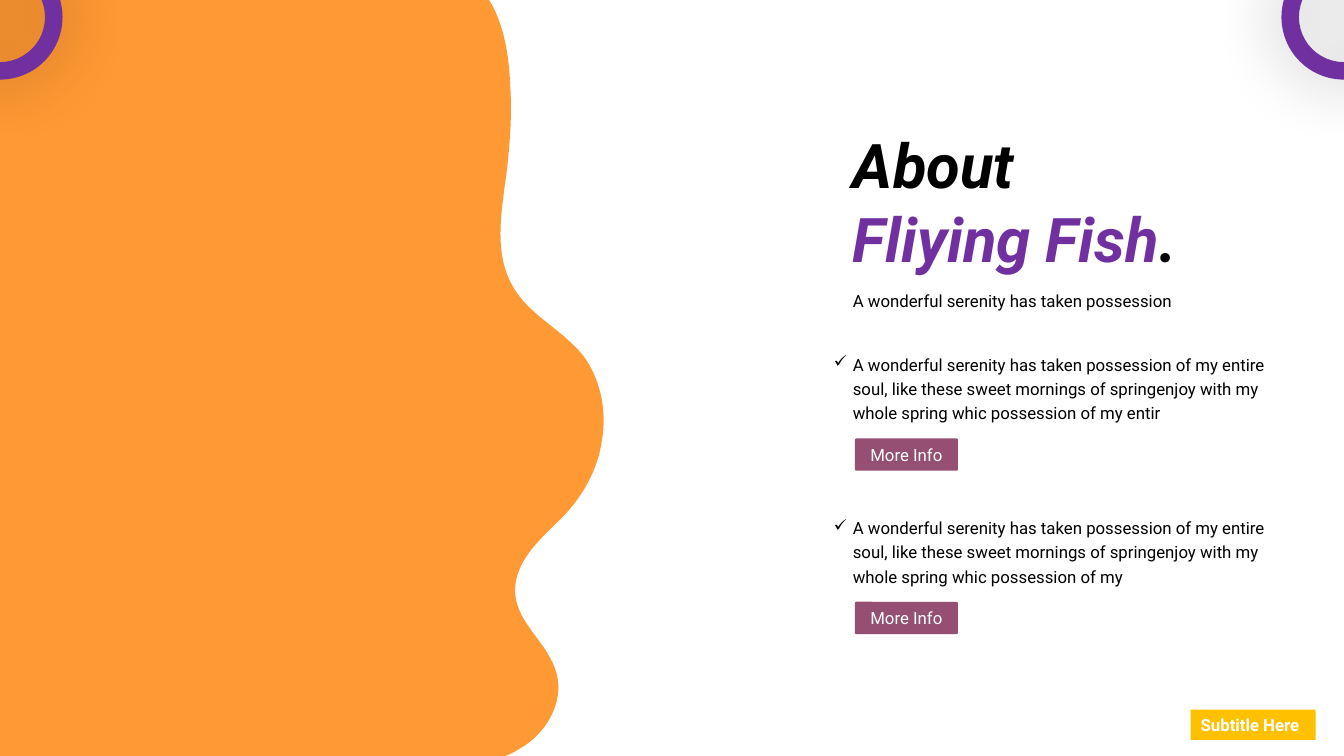
from pptx import Presentation
from pptx.dml.color import RGBColor
from pptx.enum.shapes import MSO_SHAPE as SHAPE
from pptx.enum.text import MSO_ANCHOR as ANCHOR, PP_ALIGN as ALIGN
from pptx.oxml import parse_xml
from pptx.oxml.ns import nsdecls
from pptx.util import Inches, Pt

# Content
TITLE = [[("About", "text")], [("Fliying Fish", "accent"), (".", "text")]]
LEAD = "A wonderful serenity has taken possession"
SENTENCE = ("A wonderful serenity has taken possession of my entire soul, like these "
            "sweet mornings of springenjoy with my whole spring whic possession of my")
ITEMS = [SENTENCE + " entir", SENTENCE]
BUTTON = "More Info"
TAG = "Subtitle Here"

# Wavy panel edge from bottom to top: control, control, end of each curve
EDGE_START = (5.06, 7.48)
EDGE_CURVES = [
    ((5.09, 7.47), (5.12, 7.45), (5.15, 7.43)),
    ((5.41, 7.29), (5.6, 6.97), (5.52, 6.68)),
    ((5.44, 6.38), (5.13, 6.19), (5.11, 5.89)),
    ((5.09, 5.57), (5.37, 5.34), (5.59, 5.12)),
    ((5.78, 4.92), (5.93, 4.66), (5.97, 4.37)),
    ((6.02, 4.08), (5.96, 3.78), (5.8, 3.55)),
    ((5.59, 3.27), (5.24, 3.13), (5.08, 2.83)),
    ((4.89, 2.49), (4.98, 2.07), (5.03, 1.67)),
    ((5.06, 1.4), (5.08, 1.11), (5.06, 0.84)),
    ((5.05, 0.56), (5, 0.26), (4.87, 0.03)),
]

THEME = {
    "font": "Roboto", "title": 44, "body": 12,
    "text": "000000", "light": "FFFFFF", "accent": "7030A0",
    "panel": "FF9933", "button": "954F72", "tag": "FFC000",
}

# Layout
SLIDE_W, SLIDE_H = 13.33, 7.5
TEXT_X = 8.36
ITEM_X, ITEM_Y, ITEM_STEP = 8.17, 3.43, 1.62
BUTTON_X, BUTTON_DROP = 8.48, 0.92
RING, RING_Y = 1.24, -0.45

prs = Presentation()
prs.slide_width, prs.slide_height = Inches(SLIDE_W), Inches(SLIDE_H)
slide = prs.slides.add_slide(prs.slide_layouts[6])


def color(name):
    return RGBColor.from_string(THEME[name])


def paint(sp, fill):
    sp.shadow.inherit = False
    sp.fill.solid()
    sp.fill.fore_color.rgb = color(fill)
    sp.line.fill.background()
    return sp


def add_shape(kind, x, y, w, h, fill):
    return paint(slide.shapes.add_shape(kind, *map(Inches, (x, y, w, h))), fill)


def style(r, size="body", ink="text", bold=False, italic=False):
    r.font.name, r.font.size = THEME["font"], Pt(THEME[size])
    r.font.color.rgb = color(ink)
    r.font.bold, r.font.italic = bold, italic


def add_text(x, y, w, h):
    tf = slide.shapes.add_textbox(*map(Inches, (x, y, w, h))).text_frame
    tf.word_wrap = True
    return tf


def add_body(text, spacing, *box):
    p = add_text(*box).paragraphs[0]
    p.text = text
    p.line_spacing = spacing
    style(p.runs[0])
    return p


def add_label(sp, text, align, bold=False, wrap=True):
    tf = sp.text_frame
    tf.text = text
    tf.word_wrap = wrap
    tf.vertical_anchor = ANCHOR.MIDDLE
    tf.paragraphs[0].alignment = align
    style(tf.paragraphs[0].runs[0], ink="light", bold=bold)


# Orange panel: straight outline first, then its edge segments become curves
before = [(0, SLIDE_H), (5.01, SLIDE_H), EDGE_START]
outline = [*before, *(end for _, _, end in EDGE_CURVES), (4.85, 0)]
builder = slide.shapes.build_freeform(0, 0)
builder.add_line_segments([(Inches(x), Inches(y)) for x, y in outline], close=True)
panel = paint(builder.convert_to_shape(), "panel")
segments = list(panel._element.spPr.iter("{*}lnTo"))[len(before):]
for segment, curve in zip(segments, EDGE_CURVES):
    points = "".join(f'<a:pt x="{Inches(x)}" y="{Inches(y)}"/>' for x, y in curve)
    bezier = parse_xml(f'<a:cubicBezTo {nsdecls("a")}>{points}</a:cubicBezTo>')
    segment.getparent().replace(segment, bezier)

# Title and lead
tf = add_text(TEXT_X, 1.21, 5.22, 1.58)
for i, parts in enumerate(TITLE):
    p = tf.add_paragraph() if i else tf.paragraphs[0]
    for text, ink in parts:
        r = p.add_run()
        r.text = text
        style(r, "title", ink, bold=True, italic=True)
add_body(LEAD, 1.5, TEXT_X, 2.74, 4.42, 0.37)

# Checked items with buttons
for i, text in enumerate(ITEMS):
    y = ITEM_Y + i * ITEM_STEP
    p = add_body(text, 1.2, ITEM_X, y, 4.82, 0.81)
    pPr = p._p.get_or_add_pPr()
    pPr.set("marL", str(Inches(0.19)))
    pPr.set("indent", str(-Inches(0.19)))
    pPr.append(parse_xml(f'<a:buFont {nsdecls("a")} typeface="Wingdings" charset="2"/>'))
    pPr.append(parse_xml(f'<a:buChar {nsdecls("a")} char="ü"/>'))
    sp = add_shape(SHAPE.ROUNDED_RECTANGLE, BUTTON_X, y + BUTTON_DROP, 1.02, 0.32, "button")
    sp.adjustments[0] = 0.04
    add_label(sp, BUTTON, ALIGN.CENTER)

# Corner tag
sp = add_shape(SHAPE.RECTANGLE, 11.81, 7.04, 1.24, 0.3, "tag")
add_label(sp, TAG, ALIGN.LEFT, bold=True, wrap=False)

# Rings centred on the top corners, with a soft shadow
for center in (0, SLIDE_W):
    sp = add_shape(SHAPE.DONUT, center - RING / 2, RING_Y, RING, RING, "accent")
    sp.adjustments[0] = 0.14
    effects = sp._element.spPr.find("{*}effectLst")
    effects.append(parse_xml(
        f'<a:outerShdw {nsdecls("a")} blurRad="{Pt(49)}" dist="0" algn="ctr" rotWithShape="0">'
        f'<a:srgbClr val="{THEME["text"]}"><a:alpha val="33000"/></a:srgbClr></a:outerShdw>'))

prs.save("out.pptx")
